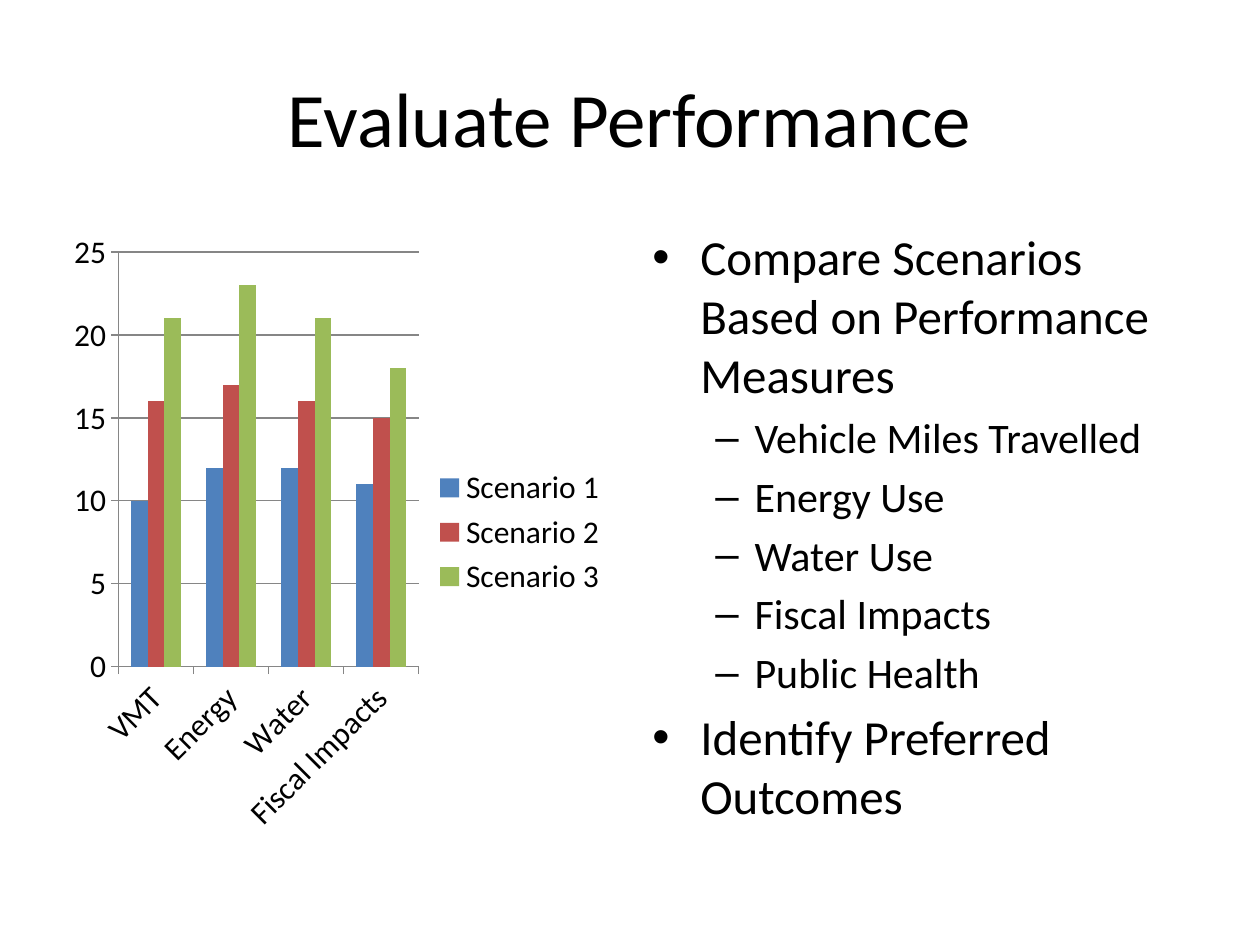
from lxml.etree import SubElement
from pptx import Presentation
from pptx.chart.data import CategoryChartData
from pptx.dml.color import RGBColor
from pptx.enum.chart import XL_CHART_TYPE, XL_LEGEND_POSITION, XL_TICK_MARK
from pptx.enum.text import MSO_ANCHOR, PP_ALIGN
from pptx.oxml.ns import qn
from pptx.util import Inches, Pt

FONT = "Calibri"
BLACK = RGBColor(0x00, 0x00, 0x00)
GRAY = RGBColor(0x86, 0x86, 0x86)
BLUE = RGBColor(0x4F, 0x81, 0xBD)
RED = RGBColor(0xC0, 0x50, 0x4D)
GREEN = RGBColor(0x9B, 0xBB, 0x59)

# Content
TITLE = "Evaluate Performance"
MEASURES = ["VMT", "Energy", "Water", "Fiscal Impacts"]
SCENARIOS = [
    ("Scenario 1", (10, 12, 12, 11), BLUE),
    ("Scenario 2", (16, 17, 16, 15), RED),
    ("Scenario 3", (21, 23, 21, 18), GREEN),
]
BULLETS = [
    (0, "Compare Scenarios Based on Performance Measures"),
    (1, "Vehicle Miles Travelled"),
    (1, "Energy Use"),
    (1, "Water Use"),
    (1, "Fiscal Impacts"),
    (1, "Public Health"),
    (0, "Identify Preferred Outcomes"),
]
# Per level: bullet, size in points, left margin and hanging indent in inches
LEVELS = [("•", 28, 0.38, 0.38), ("–", 24, 0.81, 0.31)]

# Layout in inches
SLIDE_W, SLIDE_H = 10, 7.5
MARGIN = 0.5
COLUMN_W, COLUMN_H, COLUMN_TOP = 4.42, 4.95, 1.75


def style(font, size):
    font.name, font.size = FONT, Pt(size)
    font.color.rgb = BLACK


def add_text_frame(s, left, top, width, height):
    box = s.shapes.add_textbox(Inches(left), Inches(top), Inches(width), Inches(height))
    tf = box.text_frame
    tf.word_wrap = True
    return tf


def add_bullet(p, level, text):
    char, size, margin, hang = LEVELS[level]
    p.text = text
    p.level = level
    pPr = p._p.get_or_add_pPr()
    pPr.set("marL", str(Inches(margin)))
    pPr.set("indent", str(-Inches(hang)))
    SubElement(pPr, qn("a:buFont"), typeface="Arial")
    SubElement(pPr, qn("a:buChar"), char=char)
    style(p.runs[0].font, size)
    return size


prs = Presentation()
prs.slide_width, prs.slide_height = Inches(SLIDE_W), Inches(SLIDE_H)
s = prs.slides.add_slide(prs.slide_layouts[6])

# Title
tf = add_text_frame(s, MARGIN, 0.3, SLIDE_W - 2 * MARGIN, 1.25)
tf.vertical_anchor = MSO_ANCHOR.MIDDLE
p = tf.paragraphs[0]
p.text = TITLE
p.alignment = PP_ALIGN.CENTER
style(p.runs[0].font, 44)

# Scenario chart
data = CategoryChartData()
data.categories = MEASURES
for name, values, _ in SCENARIOS:
    data.add_series(name, values)
chart = s.shapes.add_chart(
    XL_CHART_TYPE.COLUMN_CLUSTERED, Inches(MARGIN), Inches(COLUMN_TOP),
    Inches(COLUMN_W), Inches(COLUMN_H), data).chart
style(chart.font, 18)
chart.has_title = False
chart.has_legend = True
chart.legend.position = XL_LEGEND_POSITION.RIGHT
chart.legend.include_in_layout = False
plot = chart.plots[0]
plot.gap_width, plot.overlap = 150, 0
plot.vary_by_categories = False
for series, (_, _, color) in zip(plot.series, SCENARIOS):
    series.format.fill.solid()
    series.format.fill.fore_color.rgb = color
chart.value_axis.has_major_gridlines = True
for axis in (chart.category_axis, chart.value_axis):
    axis.major_tick_mark = XL_TICK_MARK.OUTSIDE
    axis.format.line.color.rgb = GRAY
chart.value_axis.major_gridlines.format.line.color.rgb = GRAY

# Bullet list
tf = add_text_frame(s, SLIDE_W - MARGIN - COLUMN_W, COLUMN_TOP, COLUMN_W, COLUMN_H)
for i, (level, text) in enumerate(BULLETS):
    p = tf.add_paragraph() if i else tf.paragraphs[0]
    size = add_bullet(p, level, text)
    if i:
        p.space_before = Pt(round(size * 0.2, 1))

prs.save("out.pptx")
